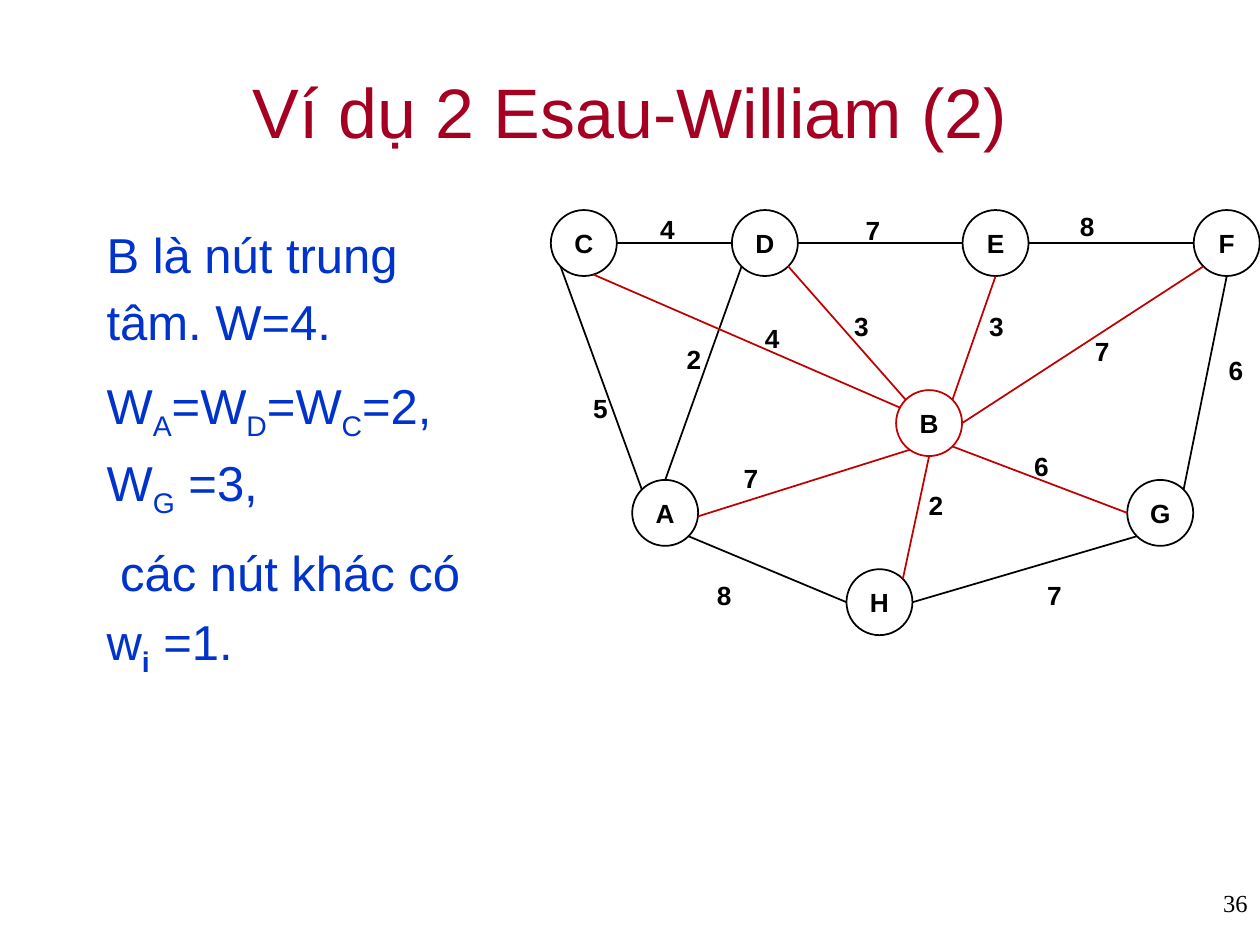
"""Build the Esau-William example slide with its weighted network around centre B."""
import math
from dataclasses import dataclass
from pptx import Presentation
from pptx import util as u
from pptx.dml.color import RGBColor
from pptx.enum import shapes, text
from pptx.oxml.ns import qn
from lxml import etree


@dataclass(frozen=True)
class Theme:
    crimson: RGBColor = RGBColor(0xA5, 0x00, 0x21)
    blue: RGBColor = RGBColor(0x00, 0x33, 0xCC)
    black: RGBColor = RGBColor(0x00, 0x00, 0x00)
    white: RGBColor = RGBColor(0xFF, 0xFF, 0xFF)
    red: RGBColor = RGBColor(0xC0, 0x00, 0x00)
    sans: str = "Arial"
    serif: str = "Times New Roman"
    title: u.Pt = u.Pt(40)
    body: u.Pt = u.Pt(28)
    label: u.Pt = u.Pt(15)
    page: u.Pt = u.Pt(14)


theme = Theme()
deck = Presentation()
deck.slide_width, deck.slide_height = u.Cm(25.4), u.Cm(19.05)
slide = deck.slides.add_slide(deck.slide_layouts[6])


def style(paragraph, size, color, name=theme.sans, bold=False, align=text.PP_ALIGN.LEFT):
    paragraph.alignment = align
    font = paragraph.font
    font.size, font.name, font.bold = size, name, bold
    font.color.rgb = color


def add_frame(left, top, width, height):
    box = slide.shapes.add_textbox(u.Cm(left), u.Cm(top), u.Cm(width), u.Cm(height))
    box.text_frame.word_wrap = True
    return box.text_frame


heading = add_frame(1.9, 0.64, 21.6, 3.18)
heading.vertical_anchor = text.MSO_ANCHOR.MIDDLE
heading.text = "Ví dụ 2 Esau-William (2)"
style(heading.paragraphs[0], theme.title, theme.crimson, align=text.PP_ALIGN.CENTER)

assumptions = [
    [("B là nút trung tâm. W=4.", "")],
    [("W", "A"), ("=W", "D"), ("=W", "C"), ("=2, W", "G"), (" =3,", "")],
    [(" các nút khác có w", "i"), (" =1.", "")],
]
body = add_frame(1.9, 4.01, 8.05, 12.07)
body.margin_top = u.Cm(0.33)
for number, pieces in enumerate(assumptions):
    assumption = body.add_paragraph() if number else body.paragraphs[0]
    assumption.line_spacing = 1.15
    assumption.space_before = u.Pt(5.6 if number else 0)
    assumption.space_after = u.Pt(2.8)
    style(assumption, theme.body, theme.blue)
    for words, subscript in pieces:
        assumption.add_run().text = words
        if subscript:
            index = assumption.add_run()
            index.text = subscript
            index.font.bold = True if subscript == "i" else None
            index.font._element.set("baseline", "-25000")

page = add_frame(20.12, 17.78, 5.28, 1.27)
page.text = "36"
style(page.paragraphs[0], theme.page, theme.black, theme.serif, align=text.PP_ALIGN.RIGHT)

DIAMETER = 1.33
CENTRE = "B"
nodes = {
    "C": (11.77, 4.9), "D": (15.42, 4.9), "E": (20.07, 4.9), "F": (24.73, 4.9),
    "B": (18.73, 8.53), "A": (13.41, 10.34), "G": (23.39, 10.34), "H": (17.73, 12.14),
}
for letter, (x, y) in nodes.items():
    node = slide.shapes.add_shape(
        shapes.MSO_SHAPE.OVAL, u.Cm(x - DIAMETER / 2), u.Cm(y - DIAMETER / 2),
        u.Cm(DIAMETER), u.Cm(DIAMETER))
    node.shadow.inherit = False
    node.fill.solid()
    node.fill.fore_color.rgb = theme.white
    node.line.color.rgb = theme.red if letter == CENTRE else theme.black
    node.line.width = u.Pt(1)
    caption = node.text_frame
    caption.margin_left = caption.margin_right = caption.margin_top = caption.margin_bottom = 0
    caption.vertical_anchor = text.MSO_ANCHOR.MIDDLE
    caption.text = letter
    style(caption.paragraphs[0], theme.label, theme.black, bold=True,
          align=text.PP_ALIGN.CENTER)

edges = [
    ("C", 135, "A", 225, 5, 11.96, 7.9),
    ("C", 0, "D", 180, 4, 13.31, 4.29),
    ("D", 0, "E", 180, 7, 17.45, 4.32),
    ("E", 0, "F", 180, 8, 21.77, 4.24),
    ("D", 135, "A", 270, 2, 13.84, 6.93),
    ("A", 45, "H", 180, 8, 14.45, 11.68),
    ("E", 90, "B", 315, 3, 19.94, 6.25),
    ("B", 90, "H", 315, 2, 18.72, 9.86),
    ("H", 0, "G", 135, 7, 21.11, 11.68),
    ("F", 135, "B", 0, 7, 22.07, 6.76),
    ("F", 90, "G", 315, 6, 24.77, 7.14),
    ("B", 45, "G", 180, 6, 20.85, 9.07),
    ("D", 45, "B", 225, 3, 17.22, 6.25),
    ("A", 6, "B", 126, 7, 14.99, 9.32),
    ("C", 73, "B", 208, 4, 15.42, 6.5),
]
for start, leaving, end, arriving, weight, left, top in edges:
    ends = []
    for letter, angle in ((start, leaving), (end, arriving)):
        x, y = nodes[letter]
        ends.append(u.Cm(x + DIAMETER / 2 * math.cos(math.radians(angle))))
        ends.append(u.Cm(y + DIAMETER / 2 * math.sin(math.radians(angle))))
    edge = slide.shapes.add_connector(shapes.MSO_CONNECTOR.STRAIGHT, *ends)
    edge.line.color.rgb = theme.red if CENTRE in (start, end) else theme.black
    edge.line.width = u.Pt(1)
    etree.SubElement(edge._element.spPr, qn("a:effectLst"))

    cost = add_frame(left, top, 0.53, 0.71)
    cost.word_wrap = False
    cost.margin_left = cost.margin_right = cost.margin_top = cost.margin_bottom = 0
    cost.text = str(weight)
    style(cost.paragraphs[0], theme.label, theme.black, bold=True)

deck.save("out.pptx")
